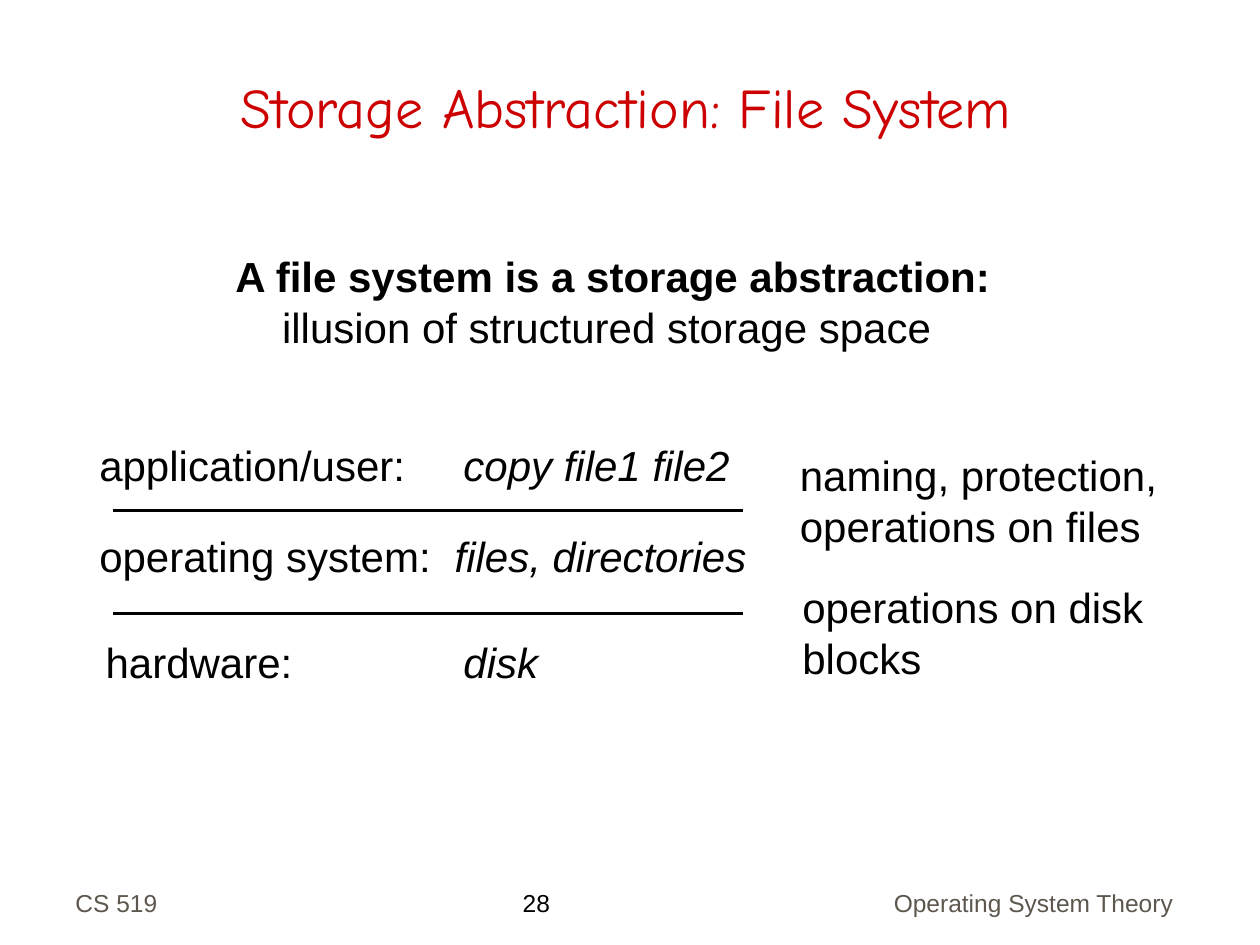
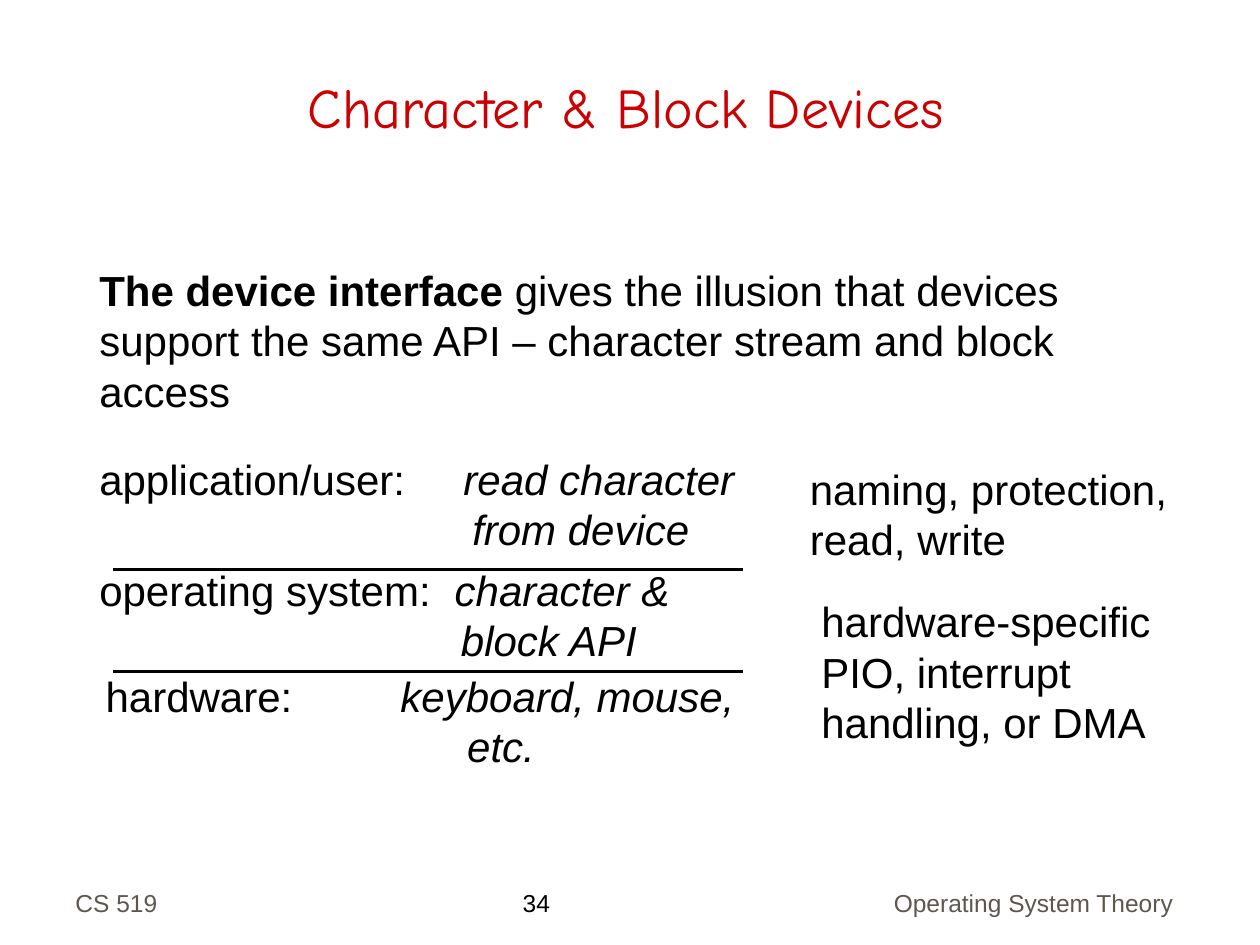
from dataclasses import dataclass

from lxml import etree
from pptx import Presentation
from pptx.dml.color import RGBColor
from pptx.enum.shapes import MSO_CONNECTOR
from pptx.enum.text import MSO_ANCHOR, PP_ALIGN
from pptx.oxml.ns import qn
from pptx.util import Pt

LEFT, CENTER, RIGHT = PP_ALIGN.LEFT, PP_ALIGN.CENTER, PP_ALIGN.RIGHT
TOP, BOTTOM = MSO_ANCHOR.TOP, MSO_ANCHOR.BOTTOM
STRAIGHT = MSO_CONNECTOR.STRAIGHT
PX = 9144  # EMU per px, 100 px to the inch
PAGE_WIDTH, PAGE_HEIGHT = 1000, 750


@dataclass(frozen=True)
class Theme:
    ink: str = "000000"
    title: str = "CC0000"
    footer: str = "5E574E"
    body_font: str = "Arial"
    title_font: str = "Comic Neue"
    title_size: int = 32
    body_size: int = 24
    footer_size: int = 14
    rule_width: int = 2


THEME = Theme()


@dataclass(frozen=True)
class Span:
    text: str
    bold: bool = False
    italic: bool = False


@dataclass(frozen=True)
class Line:
    spans: tuple
    indent: int = 0


def plain(*texts):
    return [Line((Span(text),)) for text in texts]


def add_text(page, box, lines, *, size=THEME.body_size, font=THEME.body_font,
             color=THEME.ink, align=LEFT, anchor=TOP):
    """Write lines of spans into a wrapping text box."""
    left, top, width, height = (length * PX for length in box)
    frame = page.shapes.add_textbox(left, top, width, height).text_frame
    frame.word_wrap = True
    frame.vertical_anchor = anchor
    for number, line in enumerate(lines):
        para = frame.paragraphs[0] if number == 0 else frame.add_paragraph()
        para.alignment = align
        properties = para._p.get_or_add_pPr()
        properties.set("marL", str(line.indent * PX))
        properties.set("indent", "0")
        for span in line.spans:
            run = para.add_run()
            run.text = span.text
            run.font.name = font
            run.font.size = Pt(size)
            run.font.bold = span.bold
            run.font.italic = span.italic
            run.font.color.rgb = RGBColor.from_string(color)


def add_rule(page, left, top, width):
    rule = page.shapes.add_connector(
        STRAIGHT, left * PX, top * PX, (left + width) * PX, top * PX)
    rule.line.color.rgb = RGBColor.from_string(THEME.ink)
    rule.line.width = Pt(THEME.rule_width)
    etree.SubElement(rule._element.spPr, qn("a:effectLst"))


def add_title(page, box, title):
    add_text(page, box, plain(title), size=THEME.title_size, font=THEME.title_font,
             color=THEME.title, align=CENTER, anchor=BOTTOM)


def add_footer(page, box, number):
    """Course on the left, slide number in the middle, subject on the right."""
    left, top, width, height = box
    subject_width = 300
    small = {"size": THEME.footer_size, "anchor": BOTTOM}
    add_text(page, (left, top, 208, height), plain("CS 519"),
             color=THEME.footer, **small)
    add_text(page, (left + 355, top, 109, height), plain(str(number)), **small)
    add_text(page, (left + width - subject_width, top, subject_width, height),
             plain("Operating System Theory"),
             color=THEME.footer, align=RIGHT, **small)


def add_layers(page, box, layers, rule_offsets):
    """Stack of system layers: label, italic examples, rules between."""
    left, top, width, _ = box
    label_width = 290
    examples_left = 230
    for offset in rule_offsets:
        add_rule(page, left + 21, top + offset, 500)
    for x, y, label, examples in layers:
        add_text(page, (left + x, top + y, label_width, 50), plain(label))
        lines = [Line((Span(text, italic=True),), indent=indent)
                 for text, indent in examples]
        add_text(page, (left + examples_left, top + y, width - examples_left,
                        10 + 40 * len(lines)), lines)


def add_notes(page, notes):
    for box, texts in notes:
        add_text(page, box, plain(*texts))


# Each layer: offset from the corner of the stack, label, examples with indents
PAGES = (
    {
        "title": "Storage Abstraction: File System",
        "number": 28,
        "intro_box": (177, 194, 631, 90),
        "intro": (
            Line((Span("A file system is a storage abstraction:", bold=True),)),
            Line((Span("illusion of structured storage space"),), indent=37),
        ),
        "layers_box": (69, 344, 550, 206),
        "layers": (
            (0, 0, "application/user:", (("copy file1 file2", 59),)),
            (0, 72, "operating system:", (("files, directories", 52),)),
            (5, 156, "hardware:", (("disk", 59),)),
        ),
        "rules": (61, 143),
        "notes": (
            ((625, 352, 334, 90), ("naming, protection,", "operations on files")),
            ((627, 457, 309, 90), ("operations on disk", "blocks")),
        ),
    },
    {
        "title": "Character & Block Devices",
        "number": 34,
        "intro_box": (69, 205, 840, 130),
        "intro": (
            Line((Span("The device interface", bold=True),
                  Span(" gives the illusion that devices support the same API"
                       " – character stream and block access"))),
        ),
        "layers_box": (69, 355, 550, 262),
        "layers": (
            (0, 0, "application/user:",
             (("read character", 59), ("from device", 66))),
            (0, 88, "operating system:", (("character &", 52), ("block API", 57))),
            (5, 172, "hardware:", (("keyboard, mouse,", 9), ("etc.", 62))),
        ),
        "rules": (97, 178),
        "notes": (
            ((633, 363, 334, 90), ("naming, protection,", "read, write")),
            ((642, 468, 339, 130),
             ("hardware-specific", "PIO, interrupt handling, or DMA")),
        ),
    },
)


def add_abstraction_page(deck, content):
    page = deck.slides.add_slide(deck.slide_layouts[6])
    add_title(page, (44, 25, 906, 91), content["title"])
    add_text(page, content["intro_box"], content["intro"])
    add_layers(page, content["layers_box"], content["layers"], content["rules"])
    add_notes(page, content["notes"])
    add_footer(page, (50, 683, 891, 50), content["number"])


def main():
    deck = Presentation()
    deck.slide_width, deck.slide_height = PAGE_WIDTH * PX, PAGE_HEIGHT * PX
    for content in PAGES:
        add_abstraction_page(deck, content)
    deck.save("out.pptx")


if __name__ == "__main__":
    main()
